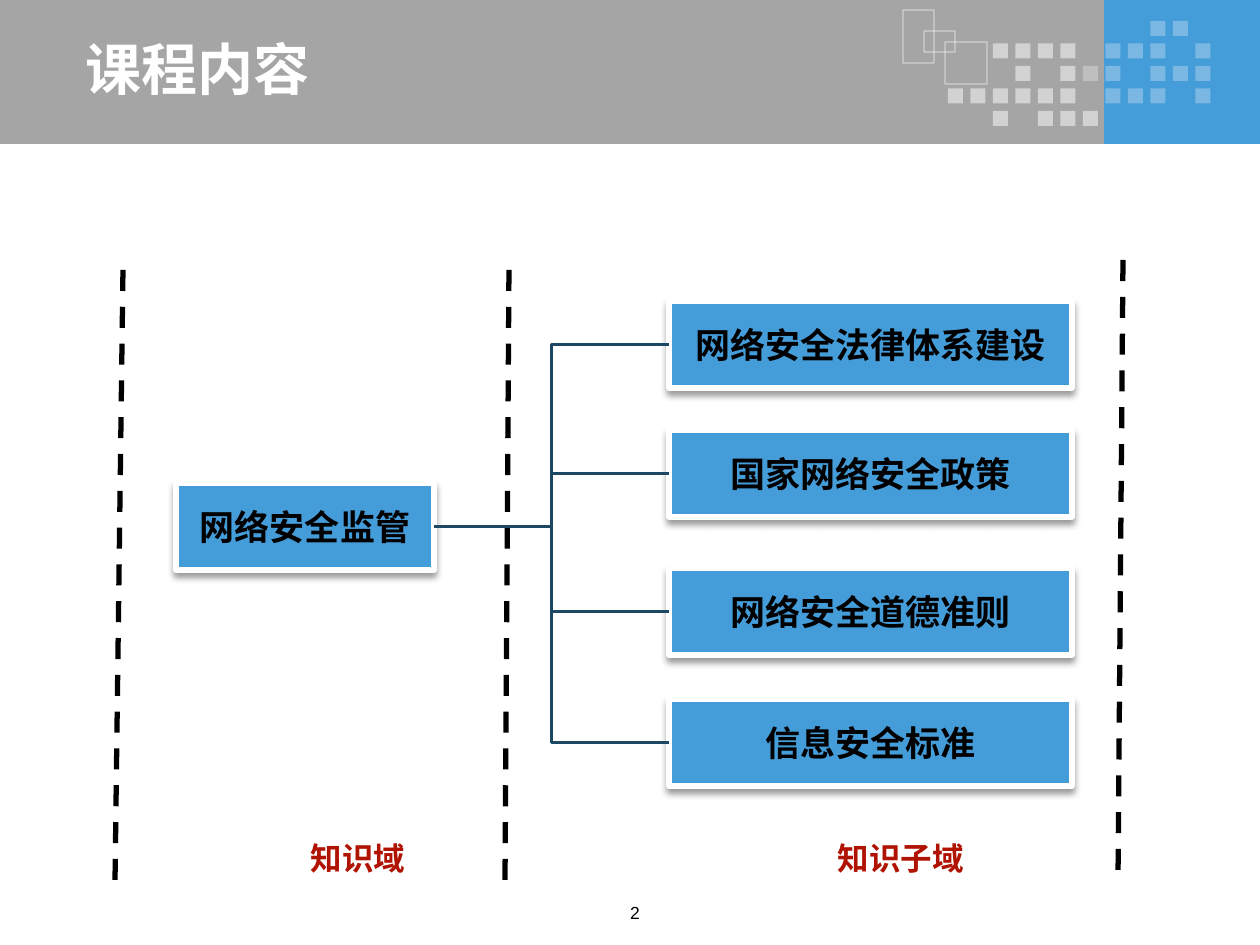
from lxml.etree import SubElement
from pptx import Presentation
from pptx.dml.color import RGBColor
from pptx.enum.dml import MSO_LINE
from pptx.enum.shapes import MSO_CONNECTOR, MSO_SHAPE
from pptx.enum.text import MSO_ANCHOR, PP_ALIGN
from pptx.oxml.ns import qn
from pptx.util import Pt

EMU_PER_PX = 914400 / 126

BLUE = RGBColor(0x44, 0x9C, 0xD8)
GREY = RGBColor(0xA5, 0xA5, 0xA5)
NAVY = RGBColor(0x1E, 0x47, 0x63)
RED = RGBColor(0xB0, 0x13, 0x02)
WHITE = RGBColor(0xFF, 0xFF, 0xFF)
BLACK = RGBColor(0x00, 0x00, 0x00)

LATIN_FONT = "Arial"
CJK_FONT = "Noto Sans CJK SC"

# One character per mosaic cell: "#" strong, "+" faint, "." empty
MOSAIC = (
    ".........++.",
    "..####.+++.+",
    "...#.#++.+++",
    "######.+++.+",
    "..#.###.....",
)
MOSAIC_OPACITY = {"#": 50, "+": 29}
HEADER_FRAMES = ((903, 10, 31, 53), (924, 31, 31, 21), (945, 42, 42, 42))
DIVIDERS = ((509, 270, 505, 882), (1123, 260, 1118, 882), (123, 270, 115, 882))
SUBDOMAINS = (
    ("网络安全法律体系建设", 301),
    ("国家网络安全政策", 430),
    ("网络安全道德准则", 568),
    ("信息安全标准", 699),
)


def px(*lengths):
    return [round(length * EMU_PER_PX) for length in lengths]


def set_opacity(fill, percent):
    """Make a solid fill, of an area or of a line, partly transparent."""
    color = fill._xPr.find(qn("a:solidFill"))[0]
    SubElement(color, qn("a:alpha"), val=str(percent * 1000))


def add_rectangle(slide, box, fill=None, line=None, line_width=0.75):
    rectangle = slide.shapes.add_shape(MSO_SHAPE.RECTANGLE, *px(*box))
    rectangle.shadow.inherit = False
    if fill is None:
        rectangle.fill.background()
    else:
        rectangle.fill.solid()
        rectangle.fill.fore_color.rgb = fill
    if line is None:
        rectangle.line.fill.background()
    else:
        rectangle.line.color.rgb = line
        rectangle.line.width = Pt(line_width)
    return rectangle


def write(frame, text, size, color, bold=True, align=PP_ALIGN.CENTER, font=LATIN_FONT):
    frame.text = text
    paragraph = frame.paragraphs[0]
    paragraph.alignment = align
    run = paragraph.runs[0]
    run.font.size = Pt(size)
    run.font.bold = bold
    run.font.color.rgb = color
    run.font.name = font
    SubElement(run.font._element, qn("a:ea"), typeface=CJK_FONT)


def add_label(slide, box, text, size, color, **style):
    frame = slide.shapes.add_textbox(*px(*box)).text_frame
    frame.word_wrap = True
    write(frame, text, size, color, **style)
    return frame


def add_drop_shadow(shape):
    shadow = SubElement(
        shape._element.spPr.find(qn("a:effectLst")), qn("a:outerShdw"),
        blurRad=str(Pt(4)), dist=str(Pt(3)), dir="5400000", rotWithShape="0",
    )
    color = SubElement(shadow, qn("a:srgbClr"), val=str(BLACK))
    SubElement(color, qn("a:alpha"), val="40000")


def add_topic(slide, box, text):
    topic = add_rectangle(slide, box, BLUE, WHITE, 3)
    add_drop_shadow(topic)
    topic.text_frame.word_wrap = False
    topic.text_frame.vertical_anchor = MSO_ANCHOR.MIDDLE
    write(topic.text_frame, text, 20, BLACK)
    return topic


def add_line(slide, kind, ends, color, width):
    line = slide.shapes.add_connector(kind, *px(*ends))
    line.line.color.rgb = color
    line.line.width = Pt(width)
    SubElement(line._element.spPr, qn("a:effectLst"))
    return line


def add_branch(slide, domain, subdomain):
    branch = add_line(slide, MSO_CONNECTOR.ELBOW, (0, 0, 0, 0), NAVY, 2)
    branch.begin_connect(domain, 3)
    branch.end_connect(subdomain, 1)


def add_header(slide):
    add_rectangle(slide, (1104, 0, 156, 144), BLUE)
    add_rectangle(slide, (0, 0, 1104, 144), GREY)
    for row, cells in enumerate(MOSAIC):
        for column, cell in enumerate(cells):
            if cell in MOSAIC_OPACITY:
                box = (948 + column * 22.5, 21 + row * 22.5, 15, 15)
                tile = add_rectangle(slide, box, WHITE)
                set_opacity(tile.fill, MOSAIC_OPACITY[cell])
    for box in HEADER_FRAMES:
        outline = add_rectangle(slide, box, line=WHITE)
        set_opacity(outline.line.fill, 50)
    title = add_label(slide, (73, 35, 978, 67), "课程内容", 32, WHITE,
                      align=PP_ALIGN.LEFT, font=CJK_FONT)
    title.vertical_anchor = MSO_ANCHOR.MIDDLE


def add_topic_tree(slide):
    domain = add_topic(slide, (176, 483, 258, 87), "网络安全监管")
    for ends in DIVIDERS:
        divider = add_line(slide, MSO_CONNECTOR.STRAIGHT, ends, BLACK, 3)
        divider.line.dash_style = MSO_LINE.DASH
    add_label(slide, (283, 833, 150, 50), "知识域", 18, RED)
    add_label(slide, (782, 833, 238, 50), "知识子域", 18, RED)
    subdomains = [add_topic(slide, (669, top, 403, 87), text)
                  for text, top in SUBDOMAINS]
    for subdomain in subdomains:
        add_branch(slide, domain, subdomain)


def main():
    presentation = Presentation()
    presentation.slide_width, presentation.slide_height = px(1260, 945)
    slide = presentation.slides.add_slide(presentation.slide_layouts[6])
    add_header(slide)
    add_label(slide, (577, 896, 116, 37), "2", 10, BLACK, bold=False)
    add_topic_tree(slide)
    presentation.save("out.pptx")


if __name__ == "__main__":
    main()
